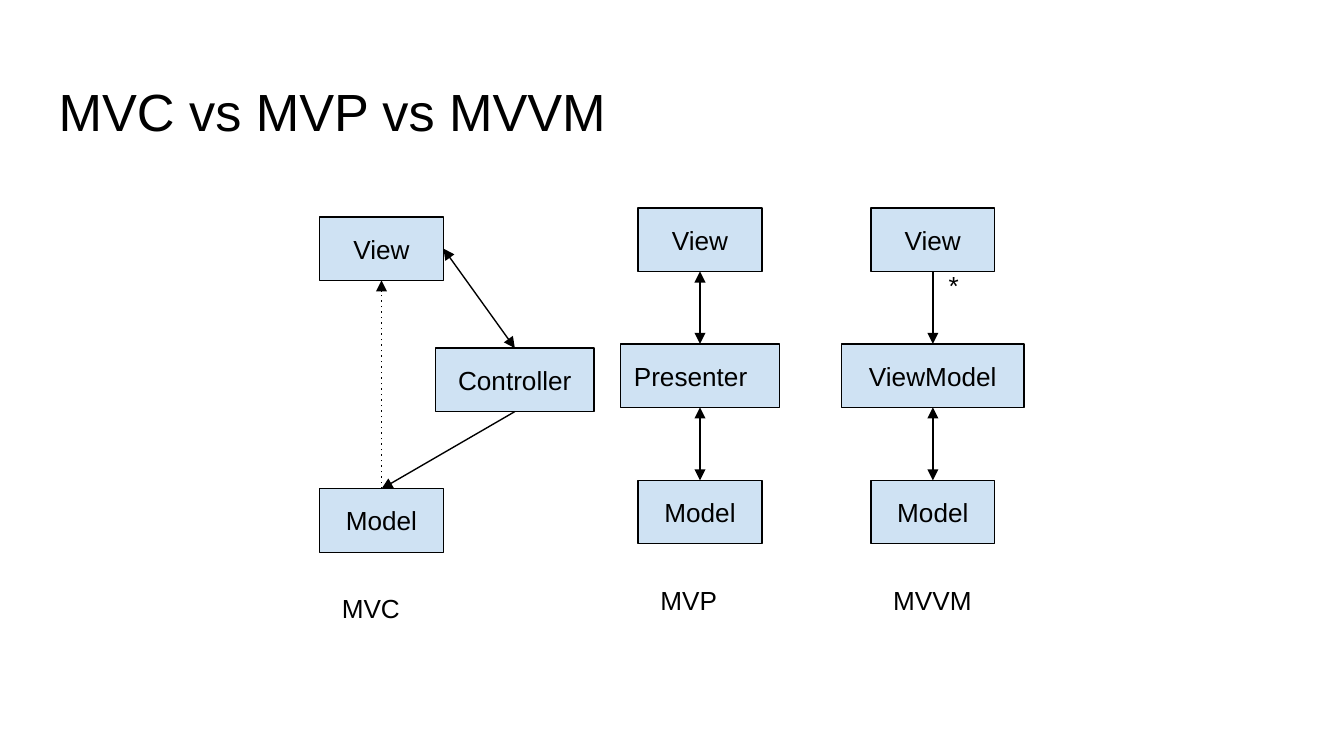
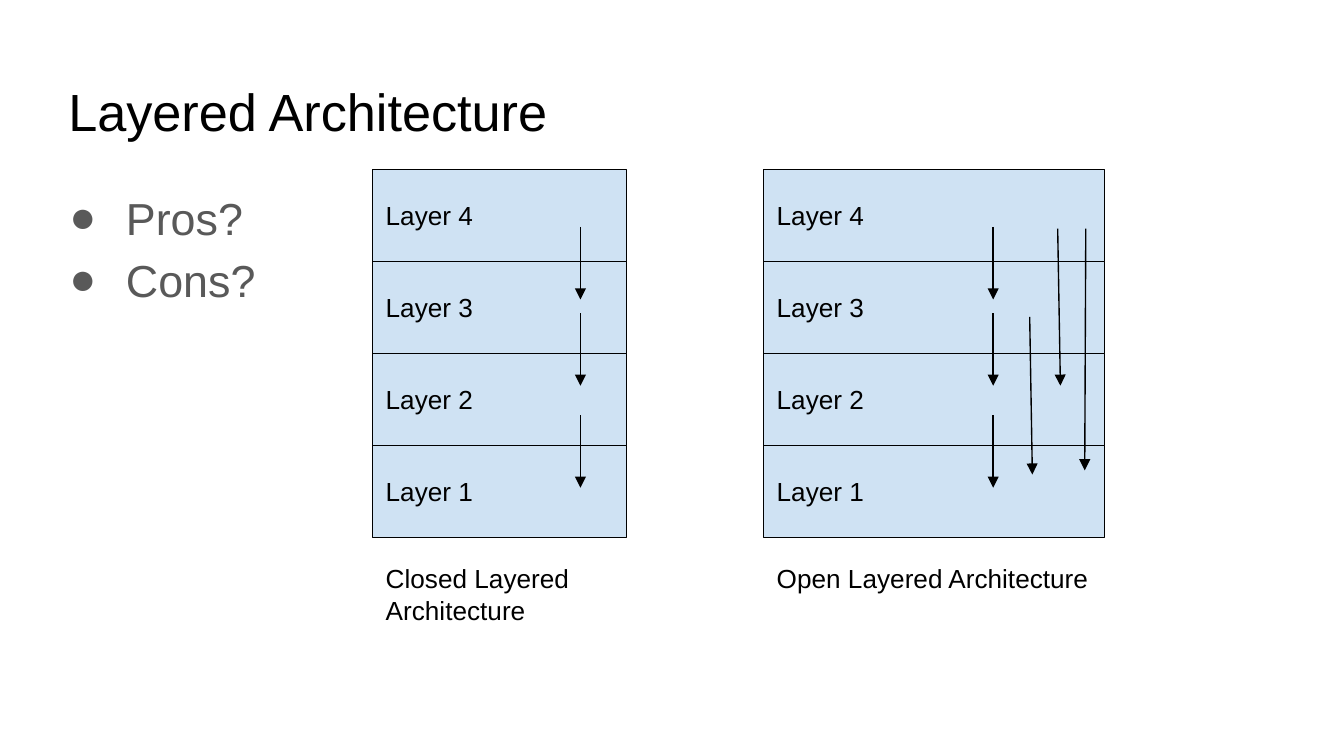
"""Build two slides on presentation patterns and layered architecture."""
from lxml.etree import SubElement
from pptx import Presentation
from pptx.dml.color import RGBColor
from pptx.enum.shapes import MSO_CONNECTOR as Link, MSO_SHAPE as Shape
from pptx.enum.text import MSO_ANCHOR as Anchor, MSO_AUTO_SIZE as AutoSize, PP_ALIGN as Align
from pptx.oxml.ns import qn
from pptx.util import Cm, Pt

BLACK = RGBColor(0x00, 0x00, 0x00)
GREY = RGBColor(0x59, 0x59, 0x59)
PALE_BLUE = RGBColor(0xCF, 0xE2, 0xF3)

INSET = Cm(0.25)
FRAME = {"word_wrap": True, "auto_size": AutoSize.NONE, "margin_left": INSET,
         "margin_right": INSET, "margin_top": INSET, "margin_bottom": INSET}
LABEL_FONT = {"name": "Arial", "size": Pt(14)}
TITLE_FONT = {"name": "Arial", "size": Pt(28)}
LIST_FONT = {"name": "Arial", "size": Pt(24)}
LIST_PARAGRAPH = {"line_spacing": 1.15, "space_before": Pt(0)}

TOP, BOTTOM, RIGHT = 0, 2, 3
FORWARD, BACKWARD, BOTH = ("tailEnd",), ("headEnd",), ("headEnd", "tailEnd")

BOX_WIDTH, BOX_HEIGHT = 2.34, 1.2
CAPTION_DROP, CAPTION_HEIGHT = 1.71, 2.3
PATTERNS = [
    {"name": "MVC", "center": 7.21, "tops": (4.1, 6.58, 9.24),
     "middle": ("Controller", 9.73, 3, Align.CENTER),
     "arrows": [("Controller", BOTTOM, "Model", TOP, FORWARD, None),
                ("Controller", TOP, "View", RIGHT, BOTH, None),
                ("Model", TOP, "View", BOTTOM, FORWARD, "dot")]},
    {"name": "MVP", "center": 13.23, "tops": (3.93, 6.5, 9.08),
     "middle": ("Presenter", 13.23, 3, Align.LEFT),
     "arrows": [("Presenter", BOTTOM, "Model", TOP, BOTH, None),
                ("Presenter", TOP, "View", BOTTOM, BOTH, None)]},
    {"name": "MVVM", "center": 17.63, "tops": (3.93, 6.5, 9.08),
     "middle": ("ViewModel", 17.63, 3.45, Align.CENTER),
     "arrows": [("ViewModel", BOTTOM, "Model", TOP, BOTH, None),
                ("ViewModel", TOP, "View", BOTTOM, BACKWARD, None)]},
]
MULTIPLICITY = ("*", 17.68, 4.85, 0.91, 1.02)

QUESTIONS = ["Pros?", "Cons?"]
LAYERS = ["Layer 4", "Layer 3", "Layer 2", "Layer 1"]
STACK_TOP, LAYER_HEIGHT, STACK_CAPTION_TOP = 3.2, 1.74, 10.39
STEP_TOPS, STEP_LENGTH = (4.29, 5.92, 7.85), 1.37
STACKS = [
    {"caption": "Closed Layered Architecture", "left": 7.04, "width": 4.8,
     "caption_width": 5.74, "step_x": 10.97, "skips": []},
    {"caption": "Open Layered Architecture", "left": 14.43, "width": 6.45,
     "caption_width": 7.72, "step_x": 18.77,
     "skips": [(19.46, 5.99, 19.51, 8.97), (19.99, 4.32, 20.04, 7.29),
               (20.52, 4.32, 20.5, 8.89)]},
]


def assign(target, values):
    """Set each named attribute on the target."""
    for key, value in values.items():
        setattr(target, key, value)


def place(part, left, top, width, height):
    """Move and size a placeholder in centimetres."""
    assign(part, {"left": Cm(left), "top": Cm(top), "width": Cm(width), "height": Cm(height)})


def write(part, lines, font=LABEL_FONT, color=BLACK, align=Align.LEFT, anchor=Anchor.TOP):
    """Fill a text frame with formatted lines."""
    frame = part.text_frame
    assign(frame, {**FRAME, "vertical_anchor": anchor, "text": "\n".join(lines)})
    for paragraph in frame.paragraphs:
        paragraph.alignment = align
        for run in paragraph.runs:
            assign(run.font, font)
            run.font.color.rgb = color


def add_caption(shapes, text, *bounds):
    """Add a plain label."""
    write(shapes.add_textbox(*map(Cm, bounds)), [text])


def add_box(shapes, text, bounds, align=Align.LEFT):
    """Add an outlined pale blue box."""
    box = shapes.add_shape(Shape.RECTANGLE, *map(Cm, bounds))
    box.shadow.inherit = False
    box.fill.solid()
    box.fill.fore_color.rgb = PALE_BLUE
    box.line.color.rgb = BLACK
    box.line.width = Pt(0.75)
    write(box, [text], align=align, anchor=Anchor.MIDDLE)
    return box


def add_arrow(shapes, points=(0, 0, 0, 0), ends=FORWARD, dash=None):
    """Add a thin black line with triangular heads."""
    arrow = shapes.add_connector(Link.STRAIGHT, *map(Cm, points))
    arrow.line.color.rgb = BLACK
    arrow.line.width = Pt(0.75)
    outline = arrow.line._get_or_add_ln()
    if dash:
        SubElement(outline, qn("a:prstDash"), val=dash)
    for end in ends:
        SubElement(outline, qn(f"a:{end}"), type="triangle")
    SubElement(arrow._element.spPr, qn("a:effectLst"))
    return arrow


def add_titled_slide(deck, layout, title, left):
    """Add a slide with the shared title style."""
    slide = deck.slides.add_slide(deck.slide_layouts[layout])
    place(slide.shapes.title, left, 1.24, 23.67, 1.6)
    write(slide.shapes.title, [title], TITLE_FONT)
    return slide


def add_pattern(shapes, pattern):
    """Draw one pattern as three linked boxes and a caption."""
    center, tops = pattern["center"], pattern["tops"]
    rows = [("View", center, BOX_WIDTH, Align.CENTER), pattern["middle"],
            ("Model", center, BOX_WIDTH, Align.CENTER)]
    boxes = {}
    for (text, middle, width, align), top in zip(rows, tops):
        boxes[text] = add_box(shapes, text, (middle - width / 2, top, width, BOX_HEIGHT), align)
    for source, exit_site, target, entry_site, ends, dash in pattern["arrows"]:
        arrow = add_arrow(shapes, ends=ends, dash=dash)
        arrow.begin_connect(boxes[source], exit_site)
        arrow.end_connect(boxes[target], entry_site)
    add_caption(shapes, pattern["name"], center - 1, tops[-1] + CAPTION_DROP,
                BOX_WIDTH, CAPTION_HEIGHT)


def add_questions(body):
    """Fill the body with the bulleted questions."""
    place(body, 0.86, 3.2, 23.67, 9.5)
    write(body, QUESTIONS, LIST_FONT, GREY)
    for paragraph in body.text_frame.paragraphs:
        assign(paragraph, LIST_PARAGRAPH)
        properties = paragraph._p.get_or_add_pPr()
        properties.set("marL", str(Cm(1.27)))
        properties.set("indent", str(Cm(-1.07)))
        bullet_color = SubElement(properties, qn("a:buClr"))
        SubElement(bullet_color, qn("a:srgbClr"), val=str(GREY))
        SubElement(properties, qn("a:buChar"), char="●")


def add_stack(shapes, stack):
    """Draw one grouped stack of layers with its call arrows."""
    members = shapes.add_group_shape().shapes
    left, step_x = stack["left"], stack["step_x"]
    for row, layer in enumerate(LAYERS):
        top = STACK_TOP + row * LAYER_HEIGHT
        add_box(members, layer, (left, top, stack["width"], LAYER_HEIGHT))
    steps = [(step_x, top, step_x, top + STEP_LENGTH) for top in STEP_TOPS]
    for points in steps + stack["skips"]:
        add_arrow(members, points)
    add_caption(members, stack["caption"], left, STACK_CAPTION_TOP,
                stack["caption_width"], CAPTION_HEIGHT)


def main():
    """Build and save the deck."""
    deck = Presentation()
    assign(deck, {"slide_width": Cm(25.4), "slide_height": Cm(14.29)})

    patterns_slide = add_titled_slide(deck, 5, "MVC vs MVP vs MVVM", 0.86)
    for pattern in PATTERNS:
        add_pattern(patterns_slide.shapes, pattern)
    add_caption(patterns_slide.shapes, *MULTIPLICITY)

    layers_slide = add_titled_slide(deck, 1, "Layered Architecture", 1.04)
    add_questions(layers_slide.placeholders[1])
    for stack in STACKS:
        add_stack(layers_slide.shapes, stack)

    deck.save("out.pptx")


if __name__ == "__main__":
    main()
